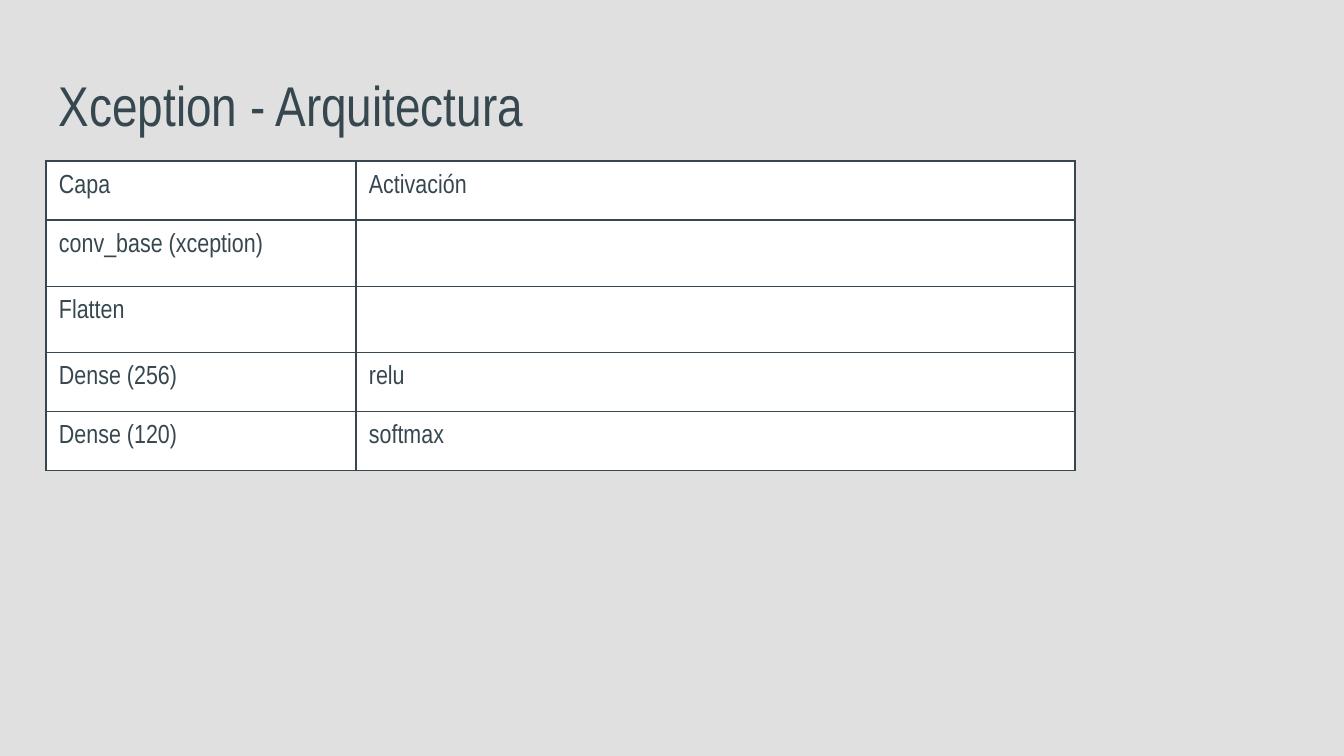
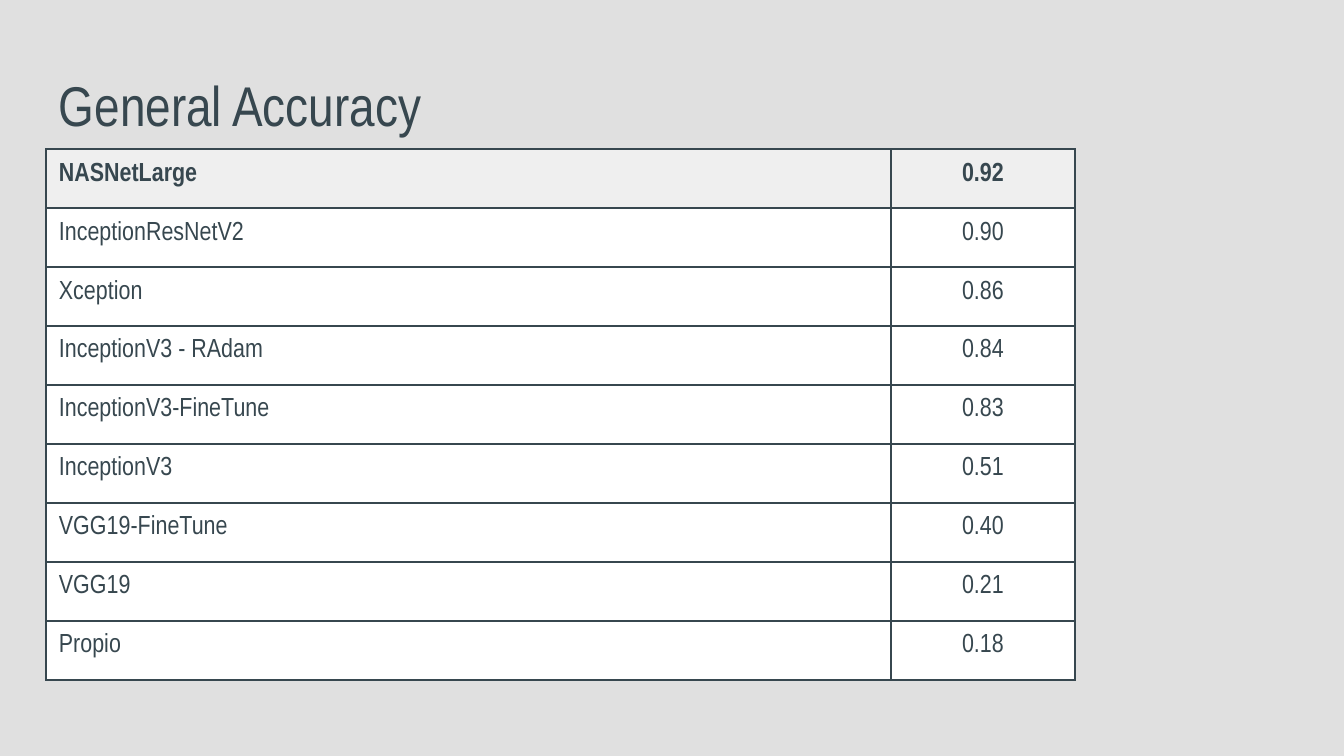
from lxml import etree
from pptx import Presentation
from pptx.dml.color import RGBColor
from pptx.enum.text import MSO_ANCHOR, PP_ALIGN
from pptx.oxml.ns import qn
from pptx.util import Pt

LEFT, CENTER = PP_ALIGN.LEFT, PP_ALIGN.CENTER
BOTTOM = MSO_ANCHOR.BOTTOM

EMU_PER_PX = 914400 / 134.4
COLORS = {"bg": "E0E0E0", "ink": "37474F", "cell": "FFFFFF", "highlight": "EFEFEF"}
FONT = "Arial Narrow"
TITLE_FORMAT = {"name": FONT, "size": Pt(30)}
CELL_FORMAT = {"name": FONT, "size": Pt(14), "bold": False}
BEST_FORMAT = {**CELL_FORMAT, "bold": True}
INSET, LEFT_EDGE, ROW_HEIGHT = 13, 46, 59

ARCHITECTURE = [
    ("Capa", "Activación"),
    ("conv_base (xception)", ""),
    ("Flatten", ""),
    ("Dense (256)", "relu"),
    ("Dense (120)", "softmax"),
]
ACCURACY = [
    ("NASNetLarge", "0.92"),
    ("InceptionResNetV2", "0.90"),
    ("Xception", "0.86"),
    ("InceptionV3 - RAdam", "0.84"),
    ("InceptionV3-FineTune", "0.83"),
    ("InceptionV3", "0.51"),
    ("VGG19-FineTune", "0.40"),
    ("VGG19", "0.21"),
    ("Propio", "0.18"),
]


def px(n):
    return round(n * EMU_PER_PX)


def rgb(name):
    return RGBColor.from_string(COLORS[name])


def set_margins(target):
    """Apply the shared inset to a text frame or a table cell."""
    for side in ("left", "right", "top", "bottom"):
        setattr(target, f"margin_{side}", px(INSET))


def write(tf, text, formats, align=LEFT):
    p = tf.paragraphs[0]
    p.alignment = align
    r = p.add_run()
    r.text = text
    for name, value in formats.items():
        setattr(r.font, name, value)
    r.font.color.rgb = rgb("ink")


def add_slide(prs):
    s = prs.slides.add_slide(prs.slide_layouts[6])
    s.background.fill.solid()
    s.background.fill.fore_color.rgb = rgb("bg")
    return s


def add_title(s, text):
    tf = s.shapes.add_textbox(px(LEFT_EDGE), px(66), px(1282), px(85)).text_frame
    tf.word_wrap = True
    tf.vertical_anchor = BOTTOM
    set_margins(tf)
    write(tf, text, TITLE_FORMAT)


def add_borders(cell):
    tc_pr = cell._tc.get_or_add_tcPr()
    for side in ("lnL", "lnR", "lnT", "lnB"):
        ln = etree.SubElement(tc_pr, qn(f"a:{side}"), w=str(Pt(0.75)))
        fill = etree.SubElement(ln, qn("a:solidFill"))
        etree.SubElement(fill, qn("a:srgbClr"), val=COLORS["ink"])


def add_grid(s, top, widths, rows, aligns=(LEFT, LEFT), best_row=None):
    """Add a bordered table; best_row is the index of the highlighted row."""
    table = s.shapes.add_table(
        len(rows), len(widths), px(LEFT_EDGE), px(top),
        px(sum(widths)), px(ROW_HEIGHT * len(rows))).table
    table.first_row = table.horz_banding = False
    for column, width in zip(table.columns, widths):
        column.width = px(width)
    for i, values in enumerate(rows):
        table.rows[i].height = px(ROW_HEIGHT)
        best = i == best_row
        for j, text in enumerate(values):
            cell = table.cell(i, j)
            set_margins(cell)
            add_borders(cell)
            cell.fill.solid()
            cell.fill.fore_color.rgb = rgb("highlight" if best else "cell")
            if text:
                write(cell.text_frame, text, BEST_FORMAT if best else CELL_FORMAT, aligns[j])


def main():
    prs = Presentation()
    prs.slide_width, prs.slide_height = px(1344), px(756)

    s = add_slide(prs)
    add_title(s, "Xception - Arquitectura")
    add_grid(s, 161, (310, 719), ARCHITECTURE)

    s = add_slide(prs)
    add_grid(s, 149, (845, 184), ACCURACY, (LEFT, CENTER), best_row=0)
    add_title(s, "General Accuracy")

    prs.save("out.pptx")


if __name__ == "__main__":
    main()
